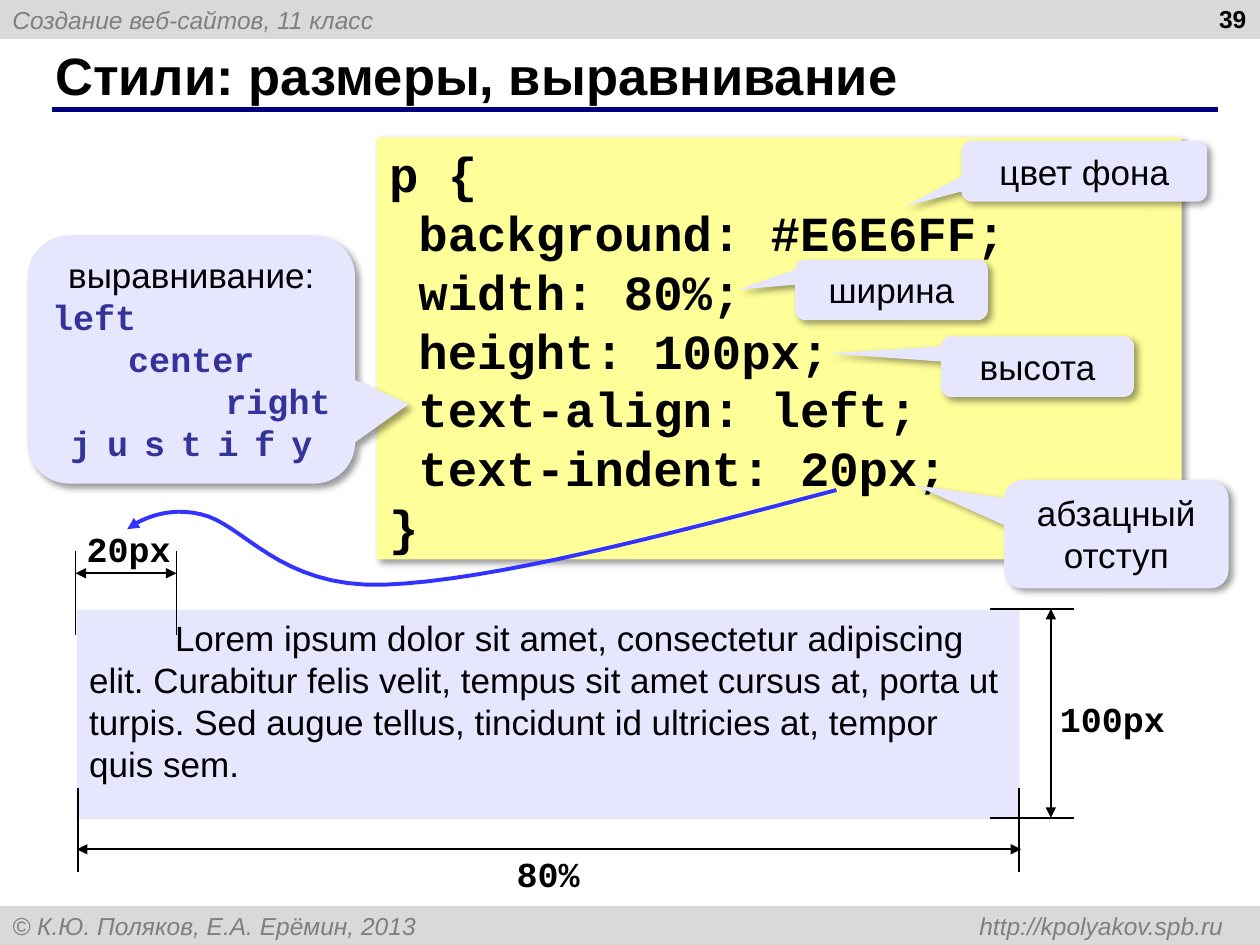
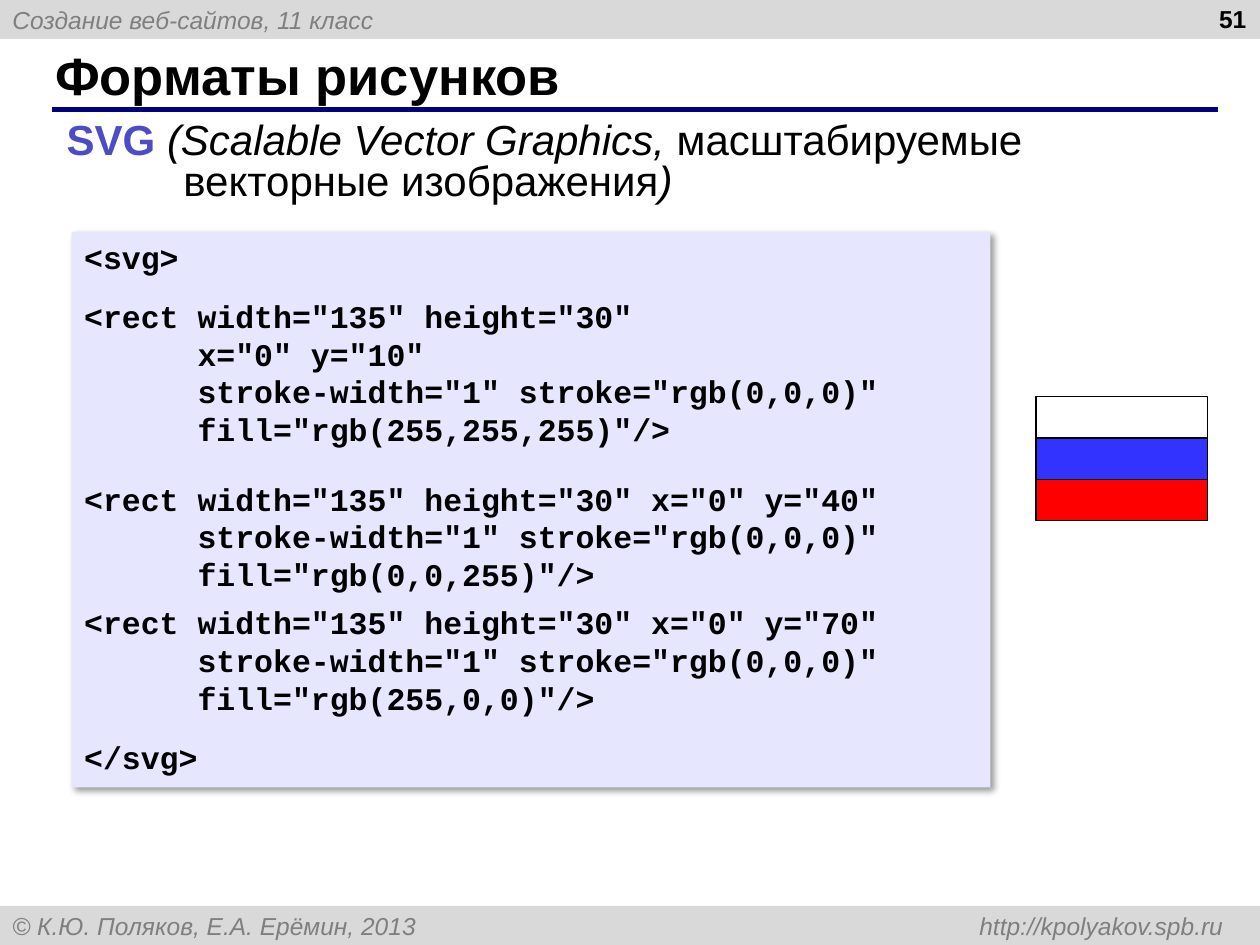
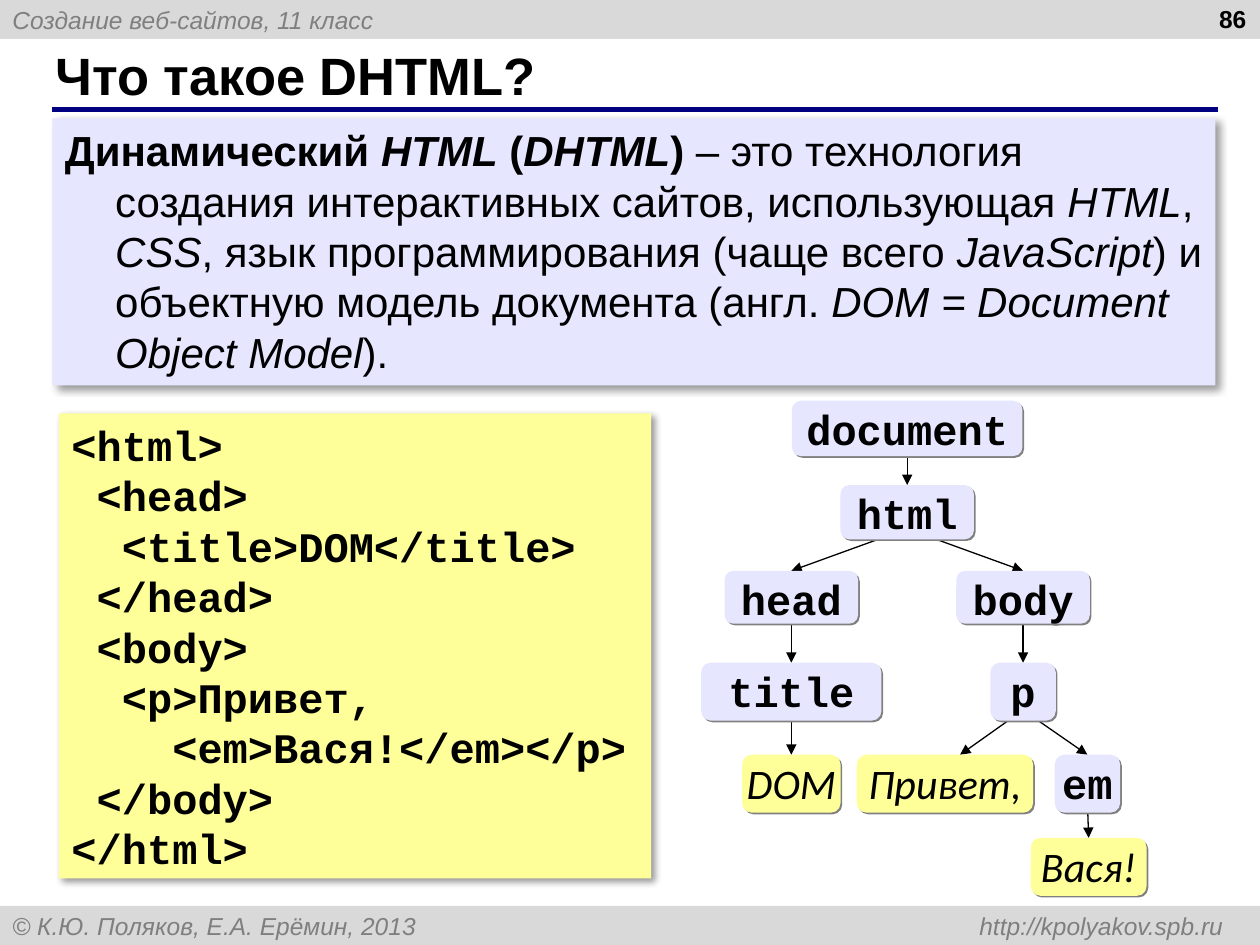
"""Builds three lesson slides on web-site creation: CSS sizes, SVG format and DHTML."""
from dataclasses import dataclass

from lxml.etree import SubElement
from pptx import Presentation
from pptx.dml.color import RGBColor
from pptx.enum.shapes import MSO_CONNECTOR, MSO_SHAPE
from pptx.enum.text import MSO_ANCHOR, PP_ALIGN
from pptx.oxml.ns import qn
from pptx.util import Pt


@dataclass(frozen=True)
class Theme:
    sans: str = "Arial"
    mono: str = "Courier New"
    literal: str = "Calibri"
    ink: str = "000000"
    band: str = "D9D9D9"
    band_text: str = "7F7F7F"
    rule: str = "000080"
    lavender: str = "E6E6FF"
    yellow: str = "FFFF99"
    keyword: str = "333399"
    accent: str = "4C4CC4"
    blue: str = "3333FF"
    red: str = "FF0000"
    small: int = 14
    listing: int = 18
    label: int = 20
    body: int = 24
    code: int = 28
    title: int = 30
    soft_shadow: tuple = ("000000", 40, 4, 3)
    hard_shadow: tuple = ("808080", 100, 0, 1.4)
    margins: tuple = (7.2, 3.6, 7.2, 3.6)
    code_margins: tuple = (7.2, 3.6, 0, 3.6)


theme = Theme()


def add_box(slide, kind, frame, lines, size, font=theme.sans, fill=None, shadow=None, color=theme.ink,
            bold=False, italic=False, align=PP_ALIGN.LEFT, anchor=MSO_ANCHOR.TOP, margins=theme.margins):
    position = [Pt(length) for length in frame]
    if kind is None:
        shape = slide.shapes.add_textbox(*position)
    else:
        shape = slide.shapes.add_shape(kind, *position)
        shape.line.fill.background()
        shape.shadow.inherit = False
        if fill:
            shape.fill.solid()
            shape.fill.fore_color.rgb = RGBColor.from_string(fill)
        else:
            shape.fill.background()
    if shadow:
        shade, opacity, blur, distance = shadow
        effects = shape.element.spPr.find(qn("a:effectLst"))
        outer = SubElement(effects, qn("a:outerShdw"), blurRad=str(Pt(blur)), dist=str(Pt(distance)),
                           dir="2700000", algn="tl", rotWithShape="0")
        shade_element = SubElement(outer, qn("a:srgbClr"), val=shade)
        SubElement(shade_element, qn("a:alpha"), val=str(opacity * 1000))
    text_frame = shape.text_frame
    text_frame.word_wrap = True
    text_frame.vertical_anchor = anchor
    (text_frame.margin_left, text_frame.margin_top,
     text_frame.margin_right, text_frame.margin_bottom) = [Pt(margin) for margin in margins]
    for index, line in enumerate(lines):
        paragraph = text_frame.add_paragraph() if index else text_frame.paragraphs[0]
        paragraph.alignment = align
        for text, run_bold, run_italic in [(line, None, None)] if isinstance(line, str) else line:
            run = paragraph.add_run()
            run.text = text
            run.font.bold = run_bold
            run.font.italic = run_italic
        paragraph.font.name = font
        paragraph.font.size = Pt(size)
        paragraph.font.bold = bold
        paragraph.font.italic = italic
        paragraph.font.color.rgb = RGBColor.from_string(color)
    return shape


def add_line(slide, start, end, width=1, color=theme.ink, ends=()):
    connector = slide.shapes.add_connector(MSO_CONNECTOR.STRAIGHT, *[Pt(length) for length in start + end])
    connector.line.width = Pt(width)
    connector.line.color.rgb = RGBColor.from_string(color)
    for end_name in ends:
        SubElement(connector.element.spPr.find(qn("a:ln")), qn(f"a:{end_name}"), type="triangle")
    SubElement(connector.element.spPr, qn("a:effectLst"))


presentation = Presentation()
presentation.slide_width = Pt(720)
presentation.slide_height = Pt(540)

band_height = 22.3
slides = []
for title, number in [("Стили: размеры, выравнивание", "39"), ("Форматы рисунков", "51"), ("Что такое DHTML?", "86")]:
    slide = presentation.slides.add_slide(presentation.slide_layouts[6])
    for top, text in [(0, "Создание веб-сайтов, 11 класс"),
                      (540 - band_height, "© К.Ю. Поляков, Е.А. Ерёмин, 2013 \thttp://kpolyakov.spb.ru")]:
        band = add_box(slide, MSO_SHAPE.RECTANGLE, (0, top, 720, band_height), [], theme.small, fill=theme.band)
        band.text_frame.vertical_anchor = MSO_ANCHOR.MIDDLE
        paragraph = band.text_frame.paragraphs[0]
        paragraph.text = text
        paragraph.alignment = PP_ALIGN.LEFT
        tabs = SubElement(paragraph._p.get_or_add_pPr(), qn("a:tabLst"))
        SubElement(tabs, qn("a:tab"), pos=str(Pt(692)), algn="r")
        paragraph.font.name = theme.sans
        paragraph.font.size = Pt(theme.small)
        paragraph.font.italic = True
        paragraph.font.color.rgb = RGBColor.from_string(theme.band_text)
    add_line(slide, (29.5, 62.6), (696.2, 62.6), 3, theme.rule)
    add_box(slide, None, (24.5, 23.8, 659.5, 37.4), [title], theme.title, bold=True, anchor=MSO_ANCHOR.MIDDLE)
    add_box(slide, None, (551.5, -1.4, 167.8, 37.4), [number], theme.small, bold=True, align=PP_ALIGN.RIGHT)
    slides.append(slide)
sizes_slide, formats_slide, dhtml_slide = slides

css_lines = ["p {", " background: #E6E6FF;", " width: 80%;", " height: 100px;", " text-align: left;",
             " text-indent: 20px;", "}"]
add_box(sizes_slide, MSO_SHAPE.RECTANGLE, (215.3, 78.5, 460, 241.2), css_lines, theme.code, theme.mono,
        theme.yellow, theme.soft_shadow, bold=True, margins=theme.code_margins)
sample = add_box(sizes_slide, MSO_SHAPE.RECTANGLE, (43.9, 348.5, 538.6, 119.5), [
    "Lorem ipsum dolor sit amet, consectetur adipiscing elit. Curabitur felis velit, tempus sit amet cursus at, "
    "porta ut turpis. Sed augue tellus, tincidunt id ultricies at, tempor quis sem."],
    theme.label, fill=theme.lavender)
sample.text_frame.paragraphs[0]._p.get_or_add_pPr().set("indent", str(Pt(49)))

callouts = [
    ((454.3, 148.3, 110.2, 34.6), (-0.795, -0.003), ["ширина"]),
    ((537.8, 192.2, 110.2, 34.6), (-1.083, -0.218), ["высота"]),
    ((549.4, 80.6, 140.4, 34.6), (-0.729, 0.578), ["цвет фона"]),
    ((573.8, 274.3, 128.2, 61.9), (-0.9, -0.454), ["абзацный отступ"]),
    ((15.8, 134.6, 187.2, 141.8), (0.663, 0.18), ["выравнивание:", "left", "center", "right", "justify"]),
]
for frame, pointer, lines in callouts:
    callout = add_box(sizes_slide, MSO_SHAPE.ROUNDED_RECTANGULAR_CALLOUT, frame, lines, theme.label,
                      fill=theme.lavender, shadow=theme.soft_shadow, align=PP_ALIGN.CENTER)
    callout.adjustments[0], callout.adjustments[1] = pointer
keywords = callout.text_frame.paragraphs[1:]
for paragraph, align in zip(keywords, [PP_ALIGN.LEFT, PP_ALIGN.CENTER, PP_ALIGN.RIGHT, PP_ALIGN.CENTER]):
    paragraph.alignment = align
    paragraph.font.name = theme.mono
    paragraph.font.bold = True
    paragraph.font.color.rgb = RGBColor.from_string(theme.keyword)
keywords[-1].runs[0]._r.get_or_add_rPr().set("spc", "900")

for y in (348, 467.3):
    add_line(sizes_slide, (566, y), (614, y))
for x, top in [(44.6, 450), (582.5, 450), (43.2, 314.6), (100.8, 314.6)]:
    add_line(sizes_slide, (x, top), (x, top + 48.3))
for start, end in [((600.5, 348), (600.5, 467.3)), ((44, 485.3), (583.5, 485.3)), ((43.2, 327.6), (100.8, 327.6))]:
    add_line(sizes_slide, start, end, ends=("headEnd", "tailEnd"))
for frame, text in [((598.3, 395.3, 74.9, 31.7), "100px"), ((45.4, 483.8, 535.7, 31.7), "80%"),
                    ((41.8, 298.1, 63.4, 31.7), "20px")]:
    dimension = add_box(sizes_slide, None, frame, [text], theme.label, theme.mono, bold=True, align=PP_ALIGN.CENTER)
    dimension.text_frame.word_wrap = False

curve_start = (478, 280)
curve_segments = [((379.4, 306), (280.8, 331.9), (219.6, 334.1)),
                  ((159.1, 336.2), (139, 298.8), (114.5, 293.8)),
                  ((90, 288), (72.7, 302.4), (72.7, 302.4))]
steps = 16
curve_points = []
point = curve_start
for first_control, second_control, end in curve_segments:
    for step in range(1, steps + 1):
        t = step / steps
        weights = ((1 - t) ** 3, 3 * t * (1 - t) ** 2, 3 * t ** 2 * (1 - t), t ** 3)
        corners = (point, first_control, second_control, end)
        curve_points.append(tuple(Pt(sum(weight * corner[axis] for weight, corner in zip(weights, corners)))
                                  for axis in (0, 1)))
    point = end
builder = sizes_slide.shapes.build_freeform(Pt(curve_start[0]), Pt(curve_start[1]))
builder.add_line_segments(curve_points, close=False)
indent_arrow = builder.convert_to_shape()
indent_arrow.fill.background()
indent_arrow.line.width = Pt(2.25)
indent_arrow.line.color.rgb = RGBColor.from_string(theme.blue)
indent_arrow.shadow.inherit = False
SubElement(indent_arrow.element.spPr.find(qn("a:ln")), qn("a:tailEnd"), type="triangle")

svg_definition = [("SVG ", True, False), ("(Scalable Vector Graphics, ", False, True),
                  ("масштабируемые векторные изображения", False, False), (")", False, True)]
heading = add_box(formats_slide, None, (31, 67, 663.8, 54), [svg_definition], theme.body)
paragraph = heading.text_frame.paragraphs[0]
paragraph.line_spacing = 0.8
paragraph.runs[0].font.color.rgb = RGBColor.from_string(theme.accent)
properties = paragraph._p.get_or_add_pPr()
properties.set("marL", str(Pt(66.7)))
properties.set("indent", str(-Pt(66.7)))

svg_lines = [
    '<svg>',
    '<rect width="135" height="30"',
    '      x="0" y="10"',
    '      stroke-width="1" stroke="rgb(0,0,0)"',
    '      fill="rgb(255,255,255)"/>',
    '<rect width="135" height="30" x="0" y="40"',
    '      stroke-width="1" stroke="rgb(0,0,0)"',
    '      fill="rgb(0,0,255)"/>',
    '<rect width="135" height="30" x="0" y="70"',
    '      stroke-width="1" stroke="rgb(0,0,0)"',
    '      fill="rgb(255,0,0)"/>',
    '</svg>',
]
svg_code = add_box(formats_slide, MSO_SHAPE.RECTANGLE, (41, 132.5, 525, 317.5), svg_lines, theme.listing, theme.mono,
                   theme.lavender, theme.soft_shadow, bold=True)
for index, space in {1: 12, 5: 18, 8: 6, 11: 12}.items():
    svg_code.text_frame.paragraphs[index].space_before = Pt(space)
for row, fill in enumerate([None, theme.blue, theme.red]):
    stripe = add_box(formats_slide, MSO_SHAPE.RECTANGLE, (592, 226.7 + 23.6 * row, 98, 23.6), [], theme.small, fill=fill)
    stripe.line.width = Pt(0.75)
    stripe.line.color.rgb = RGBColor.from_string(theme.ink)

dhtml_definition = [
    ("Динамический ", True, False), ("HTML", True, True), (" (", True, False), ("DHTML", True, True),
    (") ", True, False), ("– это технология создания интерактивных сайтов, использующая ", False, False),
    ("HTML", False, True), (", ", False, False), ("CSS", False, True),
    (", язык программирования (чаще всего ", False, False), ("JavaScript", False, True),
    (") и объектную модель документа (англ. ", False, False), ("DOM = Document Object Model", False, True),
    (").", False, False),
]
definition = add_box(dhtml_slide, MSO_SHAPE.RECTANGLE, (30, 67.7, 664.6, 152.6), [dhtml_definition], theme.body,
                     fill=theme.lavender, shadow=theme.soft_shadow)
properties = definition.text_frame.paragraphs[0]._p.get_or_add_pPr()
properties.set("marL", str(Pt(28.8)))
properties.set("indent", str(-Pt(28.8)))

html_lines = ["<html>", " <head>", "  <title>DOM</title>", " </head>", " <body>", "  <p>Привет,",
              "    <em>Вася!</em></p>", " </body>", "</html>"]
add_box(dhtml_slide, MSO_SHAPE.RECTANGLE, (33.8, 236.2, 338.4, 265.7), html_lines, theme.body, theme.mono,
        theme.yellow, theme.soft_shadow, bold=True, margins=theme.code_margins)

nodes = {
    "document": (518.4, 229, 131.8, 31.7),
    "html": (518.4, 277.2, 76.3, 31),
    "head": (452.2, 326.2, 76.3, 30.2),
    "body": (584.6, 326.2, 76.3, 30.2),
    "title": (452.2, 378.7, 103, 33.1),
    "p": (584.6, 378.7, 37.4, 33.1),
    "DOM": (452.2, 431.3, 56.2, 33.1),
    "Привет,": (540, 431.3, 100.8, 33.1),
    "em": (621.4, 431.3, 37.4, 33.1),
    "Вася!": (622.1, 478.8, 66.2, 33.1),
}
edges = [("document", "html"), ("html", "head"), ("html", "body"), ("head", "title"), ("body", "p"),
         ("title", "DOM"), ("p", "Привет,"), ("p", "em"), ("em", "Вася!")]
literals = ("DOM", "Привет,", "Вася!")
entry_shift = {"Привет,": 8.6}
for parent, child in edges:
    parent_center, parent_top, _, parent_height = nodes[parent]
    child_center, child_top, _, _ = nodes[child]
    add_line(dhtml_slide, (parent_center, parent_top + parent_height - 6),
             (child_center + entry_shift.get(child, 0), child_top), 0.75, ends=("tailEnd",))
for name, (center, top, width, height) in nodes.items():
    is_literal = name in literals
    add_box(dhtml_slide, MSO_SHAPE.ROUNDED_RECTANGLE, (center - width / 2, top, width, height), [name], theme.body,
            theme.literal if is_literal else theme.mono, theme.yellow if is_literal else theme.lavender,
            theme.hard_shadow, bold=not is_literal, italic=is_literal, align=PP_ALIGN.CENTER, margins=(0, 0, 0, 0))

presentation.save("out.pptx")
